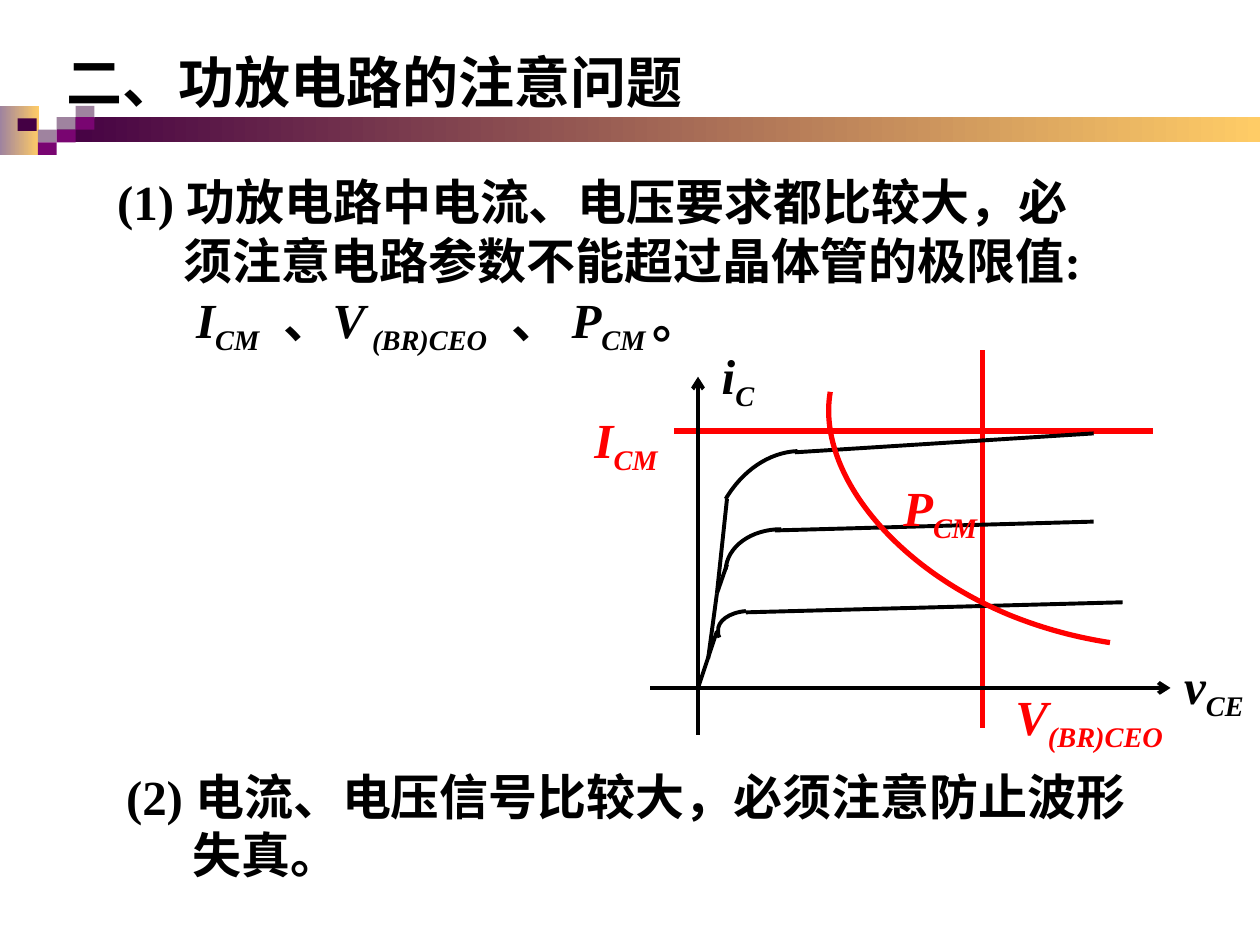
import pptx
import pptx.util
import pptx.dml.color
import pptx.enum.shapes
import pptx.enum.text
import pptx.oxml.ns
import lxml.etree

PX = 9144  # EMU per px, 100 px to the inch
COLORS = {"black": "000000", "red": "FF0000", "dark": "440044",
          "plum": "790571", "mauve": "9F839F", "gold": "FFCC66"}
RGB = {k: pptx.dml.color.RGBColor.from_string(v) for k, v in COLORS.items()}
QN = pptx.oxml.ns.qn
SUB = "-25000"
WIDE = "980"  # extra letter spacing, hundredths of a point

deck = pptx.Presentation()
deck.slide_width, deck.slide_height = 1000 * PX, 750 * PX
slide = deck.slides.add_slide(deck.slide_layouts[3])
shapes = slide.shapes


def add_runs(para, parts, size, color, face="Times New Roman"):
    """Each part is (text, style): i for italic, s for subscript, w for wide."""
    for text, style in parts:
        run = para.add_run()
        run.text = text
        run.font.name = face
        run.font.size = pptx.util.Pt(size)
        run.font.bold = True
        run.font.italic = "i" in style
        run.font.color.rgb = RGB[color]
        if "s" in style:
            run._r.get_or_add_rPr().set("baseline", SUB)
        if "w" in style:
            run._r.get_or_add_rPr().set("spc", WIDE)


def add_line(x1, y1, x2, y2, color, width, arrow=False):
    line = shapes.add_connector(pptx.enum.shapes.MSO_CONNECTOR.STRAIGHT,
                                x1 * PX, y1 * PX, x2 * PX, y2 * PX)
    line.line.color.rgb = RGB[color]
    line.line.width = pptx.util.Pt(width)
    if arrow:
        lxml.etree.SubElement(line.line._get_or_add_ln(), QN("a:tailEnd"), type="arrow")
    lxml.etree.SubElement(line._element.spPr, QN("a:effectLst"))


# Banner: left, top, width, height, colours (two make a gradient)
banner = [
    (0, 84, 31, 39, ["mauve", "gold"]),
    (45, 93, 955, 20, ["dark", "gold"]),
    (45, 93, 15, 10, ["mauve"]),
    (60, 84, 15, 10, ["mauve"]),
    (60, 93, 15, 10, ["plum"]),
    (30, 103, 15, 10, ["mauve"]),
    (14, 94, 15, 10, ["dark"]),
    (45, 103, 15, 10, ["plum"]),
    (30, 113, 15, 10, ["plum"]),
]
for x, y, w, h, tones in banner:
    tile = shapes.add_shape(pptx.enum.shapes.MSO_SHAPE.RECTANGLE,
                            x * PX, y * PX, w * PX, h * PX)
    tile.shadow.inherit = False
    tile.line.fill.background()
    if len(tones) == 1:
        tile.fill.solid()
        tile.fill.fore_color.rgb = RGB[tones[0]]
    else:
        tile.fill.gradient()
        tile.fill.gradient_angle = 0
        for spot, (stop, tone) in enumerate(zip(tile.fill.gradient_stops, tones)):
            stop.position = spot
            stop.color.rgb = RGB[tone]

# Title
title = shapes.title
title.left, title.top, title.width, title.height = 43 * PX, 21 * PX, 892 * PX, 87 * PX
title.text_frame.vertical_anchor = pptx.enum.text.MSO_ANCHOR.MIDDLE
title.text_frame.auto_size = pptx.enum.text.MSO_AUTO_SIZE.NONE
para = title.text_frame.paragraphs[0]
para.alignment = pptx.enum.text.PP_ALIGN.LEFT
add_runs(para, [("二、功放电路的注意问题", "")], 32, "black", "Arial")

# The two numbered points
points = [
    (1, (83, 131, 780, 157), [
        ("(1) 功放电路中电流、电压要求都比较大，必须注意电路参数不能超过晶体管的极限值: ", ""),
        ("I", "i"), ("CM", "is"), (" ", "isw"), ("、", ""),
        ("V", "i"), (" (BR)CEO", "is"), (" ", "isw"), ("、 ", ""),
        ("P", "i"), ("CM ", "is"), ("。", "")]),
    (2, (90, 603, 851, 104), [
        ("(2) 电流、电压信号比较大，必须注意防止波形失真。", "")]),
]
for key, (x, y, w, h), parts in points:
    body = slide.placeholders[key]
    body.left, body.top, body.width, body.height = x * PX, y * PX, w * PX, h * PX
    body.text_frame.auto_size = pptx.enum.text.MSO_AUTO_SIZE.NONE
    para = body.text_frame.paragraphs[0]
    para.space_before = pptx.util.Pt(0)
    props = para._p.get_or_add_pPr()
    props.set("marL", str(53 * PX))
    props.set("indent", str(-53 * PX))
    lxml.etree.SubElement(props, QN("a:buNone"))
    add_runs(para, parts, 28, "black")

# Limits, axes and straight parts of the curves
add_line(535, 342, 915, 342, "red", 3)
add_line(780, 278, 780, 578, "red", 3)
add_line(554, 583, 554, 299, "black", 2.25, True)
add_line(516, 546, 929, 546, "black", 2.25, True)
strokes = [
    (554, 546, 569, 501), (592, 486, 891, 478),
    (562, 523, 569, 471), (569, 471, 577, 448), (615, 421, 868, 414),
    (569, 471, 577, 396), (631, 359, 868, 344),
]
for ends in strokes:
    add_line(*ends, "black", 2.25)

# Bends: chained cubic Bezier points
bends = [
    ("red", 3, [(881, 510), (855, 506), (828, 499), (801, 488),
                (709, 450), (648, 374), (659, 311)]),
    ("black", 2.25, [(571, 506), (570, 505), (570, 503), (570, 501),
                     (569, 493), (579, 486), (592, 485)]),
    ("black", 2.25, [(576, 452), (577, 434), (596, 420), (620, 420)]),
    ("black", 2.25, [(576, 396), (589, 374), (610, 359), (633, 358)]),
]
for color, width, knots in bends:
    pen = shapes.build_freeform(*knots[0], scale=PX)
    pen.add_line_segments(knots[1:], close=False)
    bend = pen.convert_to_shape()
    bend.shadow.inherit = False
    bend.fill.background()
    bend.line.color.rgb = RGB[color]
    bend.line.width = pptx.util.Pt(width)
    # Join every three straight segments into one cubic segment
    legs = list(bend._element.iter(QN("a:lnTo")))
    for i in range(0, len(legs), 3):
        cubic = lxml.etree.SubElement(legs[i].getparent(), QN("a:cubicBezTo"))
        for leg in legs[i:i + 3]:
            cubic.append(leg[0])
            leg.getparent().remove(leg)

# Labels: left, top, width, symbol, subscript, colour
labels = [
    (462, 320, 73, "I", "CM", "red"),
    (707, 374, 80, "P", "CM", "red"),
    (796, 540, 137, "V", "(BR)CEO", "red"),
    (563, 269, 46, "i", "C", "black"),
    (930, 515, 67, "v", "CE", "black"),
]
for x, y, w, sign, low, color in labels:
    box = shapes.add_textbox(x * PX, y * PX, w * PX, 63 * PX)
    box.text_frame.word_wrap = False
    add_runs(box.text_frame.paragraphs[0], [(sign, "i"), (low, "is")], 28, color)

deck.save("out.pptx")
